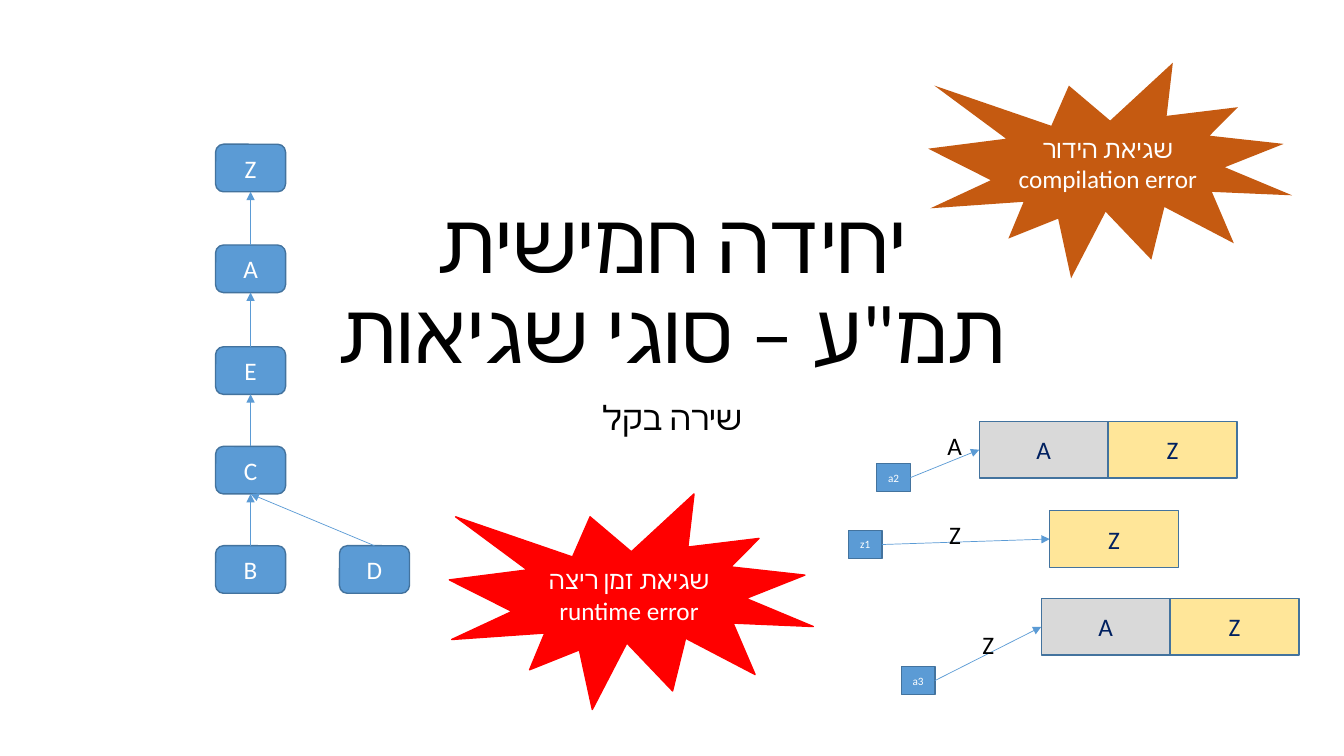
"""Build the title slide on error types, with an inheritance tree and object diagrams."""
from dataclasses import dataclass
from typing import Optional

import pptx
import pptx.dml.color
import pptx.enum.shapes
import pptx.enum.text
import pptx.oxml
import pptx.oxml.ns
import pptx.util

Pt = pptx.util.Pt
RGB = pptx.dml.color.RGBColor
SHAPE = pptx.enum.shapes.MSO_SHAPE
ALIGN = pptx.enum.text.PP_ALIGN
ANCHOR = pptx.enum.text.MSO_ANCHOR

BLACK = RGB(0x00, 0x00, 0x00)
WHITE = RGB(0xFF, 0xFF, 0xFF)
BLUE = RGB(0x5B, 0x9B, 0xD5)
DARK_BLUE = RGB(0x43, 0x73, 0x9E)
NAVY = RGB(0x00, 0x20, 0x60)
YELLOW = RGB(0xFF, 0xE6, 0x99)
GREY = RGB(0xD9, 0xD9, 0xD9)
ORANGE = RGB(0xC5, 0x5A, 0x11)
RED = RGB(0xFF, 0x00, 0x00)

FONT = "Calibri"
NS = pptx.oxml.ns.nsdecls("a")
NODE_W, NODE_H = 50, 34
CELL_W, CELL_H = 92, 40.5
VAR_W, VAR_H = 24, 20.3


@dataclass
class Box:
    left: float
    top: float
    width: float
    height: float


@dataclass
class Node:
    name: str
    left: float
    top: float
    parent: Optional[str] = None


@dataclass
class Reference:
    variable: str
    var_left: float
    var_top: float
    static_type: str
    label: Box
    classes: str
    obj_left: float
    obj_top: float


@dataclass
class Burst:
    lines: list[str]
    box: Box
    fill: RGB
    line: Optional[RGB] = None


NODES = [
    Node("Z", 154, 103),
    Node("A", 154, 175, "Z"),
    Node("E", 154, 247.7, "A"),
    Node("C", 154, 318.8, "E"),
    Node("D", 242.5, 389.8, "C"),
    Node("B", 154, 389.8, "C"),
]

REFERENCES = [
    Reference("a2", 626.3, 331, "A", Box(654.5, 303.8, 39.6, 21), "AZ", 699.5, 301),
    Reference("z1", 606, 378.8, "Z", Box(633.6, 367.2, 59.8, 21), "Z", 749.8, 364.8),
    Reference("a3", 643.8, 476, "Z", Box(657.4, 445.7, 59.8, 21), "AZ", 743.8, 427.5),
]

BURSTS = [
    Burst(["שגיאת הידור", "compilation error"], Box(663, 44.8, 260, 154), ORANGE),
    Burst(["שגיאת זמן ריצה", "runtime error"], Box(321, 352.8, 260, 154), RED, RED),
]


def write(sp, lines: list[str], size: float, color: RGB, align=ALIGN.CENTER,
          anchor=ANCHOR.MIDDLE, spacing: float = 1.0) -> None:
    """Fill a shape with one right-to-left paragraph."""
    tf = sp.text_frame
    tf.word_wrap = True
    tf.vertical_anchor = anchor
    p = tf.paragraphs[0]
    p.alignment = align
    p.line_spacing = spacing
    p._p.get_or_add_pPr().set("rtl", "1")
    for i, line in enumerate(lines):
        if i:
            p.add_line_break()
        r = p.add_run()
        r.text = line
        r.font.name = FONT
        r.font.size = Pt(size)
        r.font.color.rgb = color
        r._r.get_or_add_rPr().append(pptx.oxml.parse_xml(f'<a:cs {NS} typeface="{FONT}"/>'))


def add_text(s, box: Box, lines: list[str], size: float, **layout) -> None:
    """Add a text box in black."""
    sp = s.shapes.add_textbox(Pt(box.left), Pt(box.top), Pt(box.width), Pt(box.height))
    write(sp, lines, size, BLACK, **layout)


def add_box(s, kind, box: Box, lines: list[str], size: float, fill: RGB,
            line: Optional[RGB] = DARK_BLUE, color: RGB = WHITE) -> None:
    """Add a filled preset shape with centred text."""
    sp = s.shapes.add_shape(kind, Pt(box.left), Pt(box.top), Pt(box.width), Pt(box.height))
    sp.shadow.inherit = False
    sp.fill.solid()
    sp.fill.fore_color.rgb = fill
    if line is None:
        sp.line.fill.background()
    else:
        sp.line.color.rgb = line
        sp.line.width = Pt(1)
    write(sp, lines, size, color)


def add_arrow(s, x1: float, y1: float, x2: float, y2: float) -> None:
    """Add a thin arrow that points at its second end."""
    cx = s.shapes.add_connector(pptx.enum.shapes.MSO_CONNECTOR.STRAIGHT,
                                Pt(x1), Pt(y1), Pt(x2), Pt(y2))
    cx.line.color.rgb = BLUE
    cx.line.width = Pt(0.5)
    cx.line._get_or_add_ln().append(pptx.oxml.parse_xml(f'<a:tailEnd {NS} type="triangle"/>'))
    cx._element.spPr.append(pptx.oxml.parse_xml(f"<a:effectLst {NS}/>"))


def add_reference(s, ref: Reference) -> None:
    """Draw a variable, its arrow and the object it refers to."""
    add_box(s, SHAPE.RECTANGLE, Box(ref.var_left, ref.var_top, VAR_W, VAR_H),
            [ref.variable], 8, BLUE)
    add_arrow(s, ref.var_left + VAR_W, ref.var_top + VAR_H / 2,
              ref.obj_left, ref.obj_top + CELL_H / 2)
    add_text(s, ref.label, [ref.static_type], 18, align=ALIGN.RIGHT, anchor=ANCHOR.TOP)
    for i, name in enumerate(ref.classes):
        add_box(s, SHAPE.RECTANGLE, Box(ref.obj_left + i * CELL_W, ref.obj_top, CELL_W, CELL_H),
                [name], 18, GREY if name == "A" else YELLOW, color=NAVY)


def add_tree(s, nodes: list[Node]) -> None:
    """Draw the class tree with arrows from child to parent."""
    by_name = {node.name: node for node in nodes}
    for node in nodes:
        add_box(s, SHAPE.ROUNDED_RECTANGLE, Box(node.left, node.top, NODE_W, NODE_H),
                [node.name], 18, BLUE)
    for node in nodes:
        if node.parent:
            parent = by_name[node.parent]
            add_arrow(s, node.left + NODE_W / 2, node.top,
                      parent.left + NODE_W / 2, parent.top + NODE_H)


def main() -> None:
    """Build and save the slide."""
    prs = pptx.Presentation()
    prs.slide_width, prs.slide_height = Pt(960), Pt(540)
    s = prs.slides.add_slide(prs.slide_layouts[6])
    add_text(s, Box(120, 88.5, 720, 188), ["יחידה חמישית", "תמ\"ע – סוגי שגיאות"], 60,
             anchor=ANCHOR.BOTTOM, spacing=0.9)
    add_text(s, Box(120, 283.5, 720, 130), ["שירה בקל"], 24, anchor=ANCHOR.TOP, spacing=0.9)
    for ref in REFERENCES:
        add_reference(s, ref)
    add_tree(s, NODES)
    for burst in BURSTS:
        add_box(s, SHAPE.EXPLOSION1, burst.box, burst.lines, 18, burst.fill, burst.line)
    prs.save("out.pptx")


if __name__ == "__main__":
    main()
